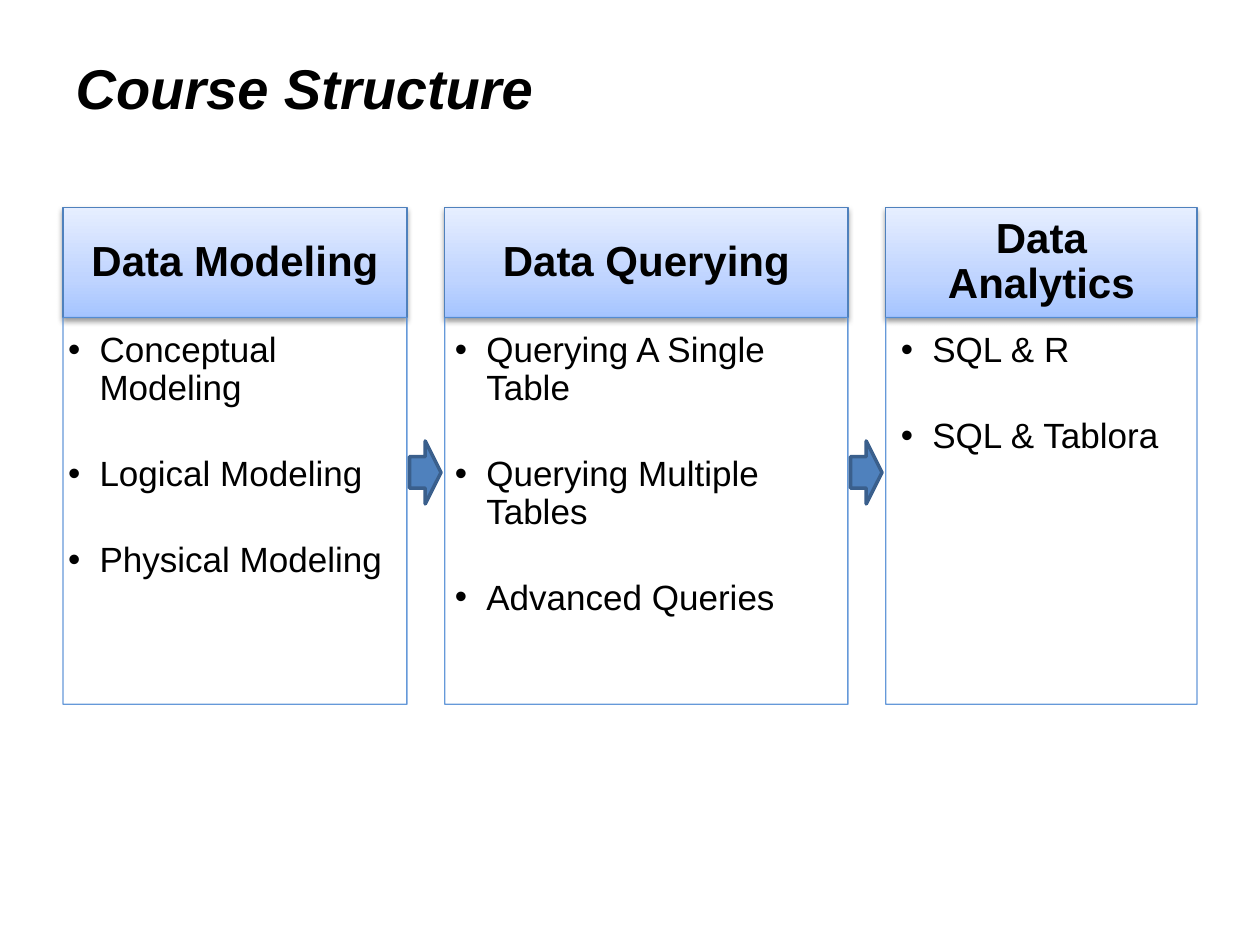
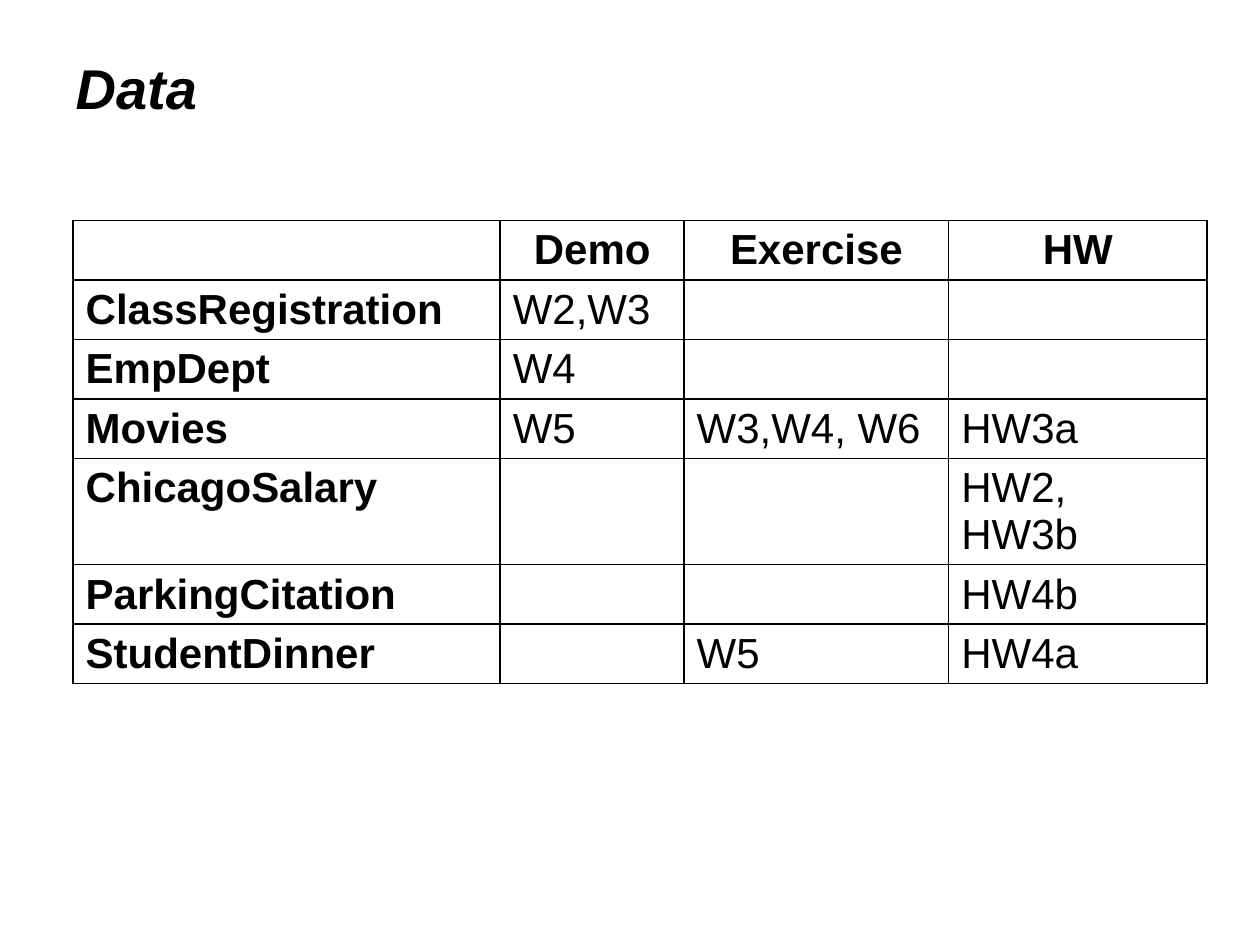
from dataclasses import dataclass
from itertools import accumulate
from lxml.etree import SubElement
from pptx import Presentation
from pptx.dml.color import RGBColor
from pptx.enum.shapes import MSO_SHAPE
from pptx.enum.text import MSO_ANCHOR, MSO_AUTO_SIZE, PP_ALIGN
from pptx.oxml import parse_xml
from pptx.oxml.ns import nsdecls, qn
from pptx.util import Inches, Pt

STAGES = [
    ("Data Modeling", 2.73, (0.04, 0.04),
     ["Conceptual Modeling", "Logical Modeling", "Physical Modeling"]),
    ("Data Querying", 3.2, (0.08, 0.08),
     ["Querying A Single Table", "Querying Multiple Tables", "Advanced Queries"]),
    ("Data Analytics", 2.47, (0.12, 0.16), ["SQL & R", "SQL & Tablora"]),
]
DATASETS = [
    ("", "Demo", "Exercise", "HW"),
    ("ClassRegistration", "W2,W3", "", ""),
    ("EmpDept", "W4", "", ""),
    ("Movies", "W5", "W3,W4, W6", "HW3a"),
    ("ChicagoSalary", "", "", "HW2, HW3b"),
    ("ParkingCitation", "", "", "HW4b"),
    ("StudentDinner", "", "W5", "HW4a"),
]
COL_WIDTHS = (3.39, 1.46, 2.1, 2.05)
ROW_H = 0.47


@dataclass(frozen=True)
class Theme:
    font: str = "Arial"
    ink: str = "000000"
    accent: str = "4F81BD"
    arrow_edge: str = "3A5F8C"
    panel_edge: str = "558ED5"
    gradient: tuple = ((0, "A4C4FF"), (35, "BFD4FF"), (100, "E6EEFF"))
    title: int = 32
    heading: int = 24
    item: int = 20


T = Theme()
W, H = 10, 7.5
LEFT, TOP, GAP = 0.5, 1.65, 0.3
HEAD_H, BODY_H = 0.87, 3.07
ARROW_W, ARROW_H, ARROW_TOP = 0.25, 0.5, 3.5


def box(x, y, w, h):
    return [Inches(v) for v in (x, y, w, h)]


def write(p, text, size, bold=False, italic=False, align=PP_ALIGN.LEFT, spacing=None):
    p.alignment = align
    if spacing:
        p.line_spacing = spacing
    r = p.add_run()
    r.text = text
    f = r.font
    f.name, f.size, f.bold, f.italic = T.font, Pt(size), bold, italic
    f.color.rgb = RGBColor.from_string(T.ink)


def bullet(p, indent=0.25):
    pPr = p._p.get_or_add_pPr()
    pPr.set("marL", str(Inches(indent)))
    pPr.set("indent", str(-Inches(indent)))
    SubElement(pPr, qn("a:buFont"), typeface=T.font)
    SubElement(pPr, qn("a:buChar"), char="•")


def add_shape(s, kind, at, edge, width=0.75, fill=None):
    sp = s.shapes.add_shape(kind, *box(*at))
    sp.shadow.inherit = False
    sp.line.color.rgb = RGBColor.from_string(edge)
    sp.line.width = Pt(width)
    if fill:
        sp.fill.solid()
        sp.fill.fore_color.rgb = RGBColor.from_string(fill)
    else:
        sp.fill.background()
    return sp


def frame(sp, left, top, right, bottom, anchor):
    tf = sp.text_frame
    tf.word_wrap = True
    tf.vertical_anchor = anchor
    tf.margin_left, tf.margin_top, tf.margin_right, tf.margin_bottom = box(left, top, right, bottom)
    return tf


def shade(sp):
    stops = "".join(f'<a:gs pos="{pos * 1000}"><a:srgbClr val="{c}"/></a:gs>' for pos, c in T.gradient)
    grad = parse_xml(f'<a:gradFill {nsdecls("a")} rotWithShape="1"><a:gsLst>{stops}</a:gsLst>'
                     '<a:lin ang="16200000" scaled="0"/></a:gradFill>')
    spPr = sp._element.spPr
    spPr.replace(spPr.find(qn("a:noFill")), grad)
    spPr.find(qn("a:effectLst")).append(parse_xml(
        f'<a:outerShdw {nsdecls("a")} blurRad="{Pt(3.1)}" dist="{Pt(1.6)}" dir="5400000" '
        f'rotWithShape="0"><a:srgbClr val="{T.ink}"><a:alpha val="38000"/></a:srgbClr></a:outerShdw>'))


def add_stage(s, x, name, w, pads, items):
    head = add_shape(s, MSO_SHAPE.RECTANGLE, (x, TOP, w, HEAD_H), T.accent)
    shade(head)
    tf = frame(head, 0.19, 0.11, 0.19, 0.11, MSO_ANCHOR.MIDDLE)
    write(tf.paragraphs[0], name, T.heading, bold=True, align=PP_ALIGN.CENTER, spacing=0.9)

    body = add_shape(s, MSO_SHAPE.RECTANGLE, (x, TOP + HEAD_H, w, BODY_H), T.panel_edge)
    edge = body._element.spPr.find(qn("a:ln")).find(".//" + qn("a:srgbClr"))
    SubElement(edge, qn("a:alpha"), val="90000")
    tf = frame(body, pads[0], 0.12, pads[1], 0.17, MSO_ANCHOR.TOP)
    for i, item in enumerate(items):
        p = tf.add_paragraph() if i else tf.paragraphs[0]
        write(p, item, T.item, spacing=0.9)
        p.space_after = Pt(27.5)
        bullet(p)


def border(cell):
    tcPr = cell._tc.get_or_add_tcPr()
    for i, side in enumerate(("lnL", "lnR", "lnT", "lnB")):
        tcPr.insert(i, parse_xml(
            f'<a:{side} {nsdecls("a")} w="{Pt(1)}"><a:solidFill><a:srgbClr val="{T.ink}"/>'
            f'</a:solidFill></a:{side}>'))


def add_slide(prs, title):
    s = prs.slides.add_slide(prs.slide_layouts[5])
    sp = s.shapes.title
    sp.left, sp.top, sp.width, sp.height = box(LEFT, 0.17, 7.08, 1.05)
    tf = sp.text_frame
    tf.auto_size = MSO_AUTO_SIZE.NONE
    tf.vertical_anchor = MSO_ANCHOR.MIDDLE
    write(tf.paragraphs[0], title, T.title, bold=True, italic=True)
    return s


def course_slide(prs):
    s = add_slide(prs, "Course Structure")
    steps = [w + GAP for _, w, _, _ in STAGES]
    lefts = list(accumulate(steps[:-1], initial=LEFT))
    for x, stage in zip(lefts, STAGES):
        add_stage(s, x, *stage)
    for x in lefts[1:]:
        add_shape(s, MSO_SHAPE.RIGHT_ARROW, (x - GAP + 0.02, ARROW_TOP, ARROW_W, ARROW_H),
                  T.arrow_edge, width=2, fill=T.accent)


def data_slide(prs):
    s = add_slide(prs, "Data")
    table = s.shapes.add_table(len(DATASETS), len(COL_WIDTHS),
                               *box(0.58, 1.75, sum(COL_WIDTHS), ROW_H * len(DATASETS))).table
    table.first_row = table.horz_banding = False
    for col, w in zip(table.columns, COL_WIDTHS):
        col.width = Inches(w)
    for i, row in enumerate(DATASETS):
        for j, text in enumerate(row):
            cell = table.cell(i, j)
            cell.fill.background()
            border(cell)
            if text:
                write(cell.text_frame.paragraphs[0], text, T.heading, bold=i == 0 or j == 0,
                      align=PP_ALIGN.LEFT if i else PP_ALIGN.CENTER)


def main():
    prs = Presentation()
    prs.slide_width, prs.slide_height = Inches(W), Inches(H)
    course_slide(prs)
    data_slide(prs)
    prs.save("out.pptx")


if __name__ == "__main__":
    main()
